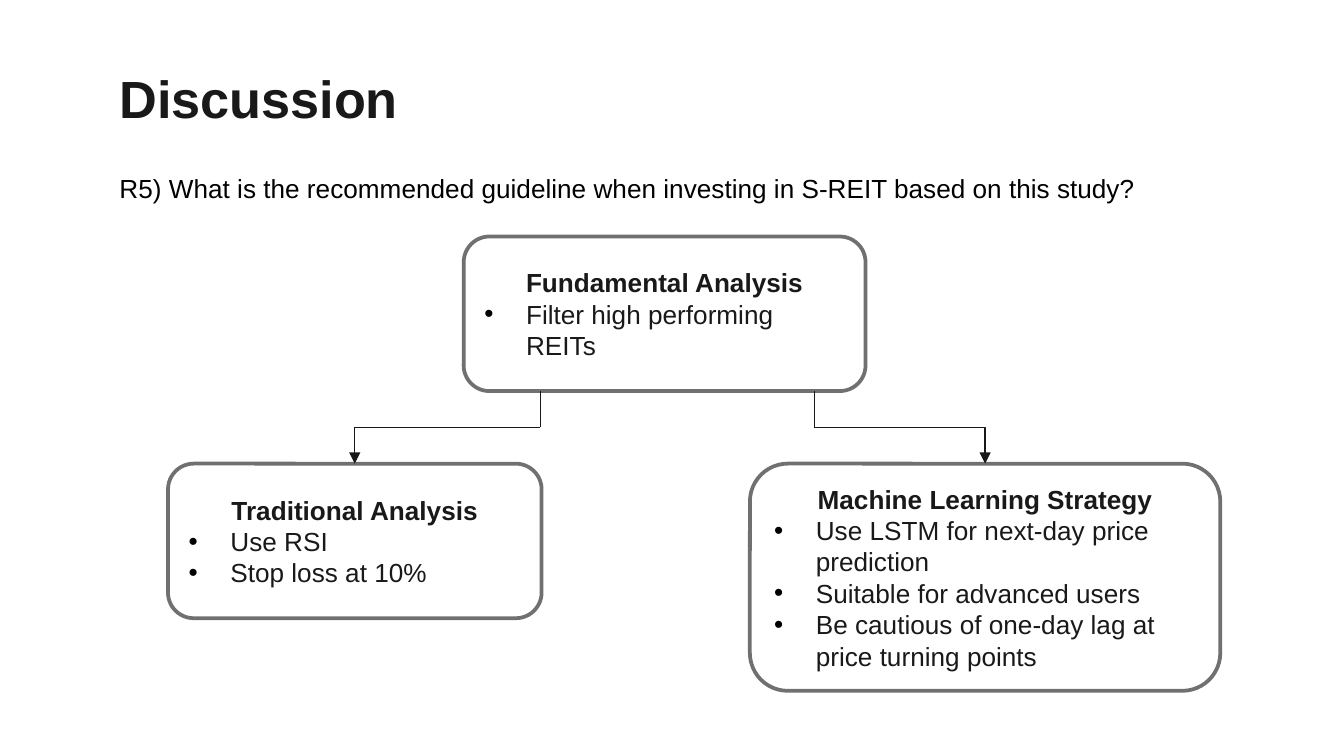
from lxml import etree
from pptx import Presentation
from pptx.dml.color import RGBColor
from pptx.enum.shapes import MSO_CONNECTOR, MSO_SHAPE
from pptx.enum.text import MSO_ANCHOR, PP_ALIGN
from pptx.oxml.ns import qn
from pptx.util import Inches, Pt

ROUND = MSO_SHAPE.ROUNDED_RECTANGLE
LINE, ELBOW = MSO_CONNECTOR.STRAIGHT, MSO_CONNECTOR.ELBOW
MIDDLE = MSO_ANCHOR.MIDDLE
LEFT, CENTER = PP_ALIGN.LEFT, PP_ALIGN.CENTER

FONT = "Arial"
COLORS = {"ink": "191919", "black": "000000", "white": "FFFFFF",
          "edge": "707070", "arrow": "181818"}

TITLE = "Discussion"
QUERY = ("R5) What is the recommended guideline when investing in S-REIT "
         "based on this study?")
ROOT = ((3.45, 1.76, 2.99, 1.15), "Fundamental Analysis",
        ["Filter high performing REITs"])
LEAVES = [
    (4.02, (1.25, 3.45, 2.78, 1.15), "Traditional Analysis",
     ["Use RSI", "Stop loss at 10%"]),
    (6.06, (5.58, 3.45, 3.5, 1.69), "Machine Learning Strategy",
     ["Use LSTM for next-day price prediction", "Suitable for advanced users",
      "Be cautious of one-day lag at price turning points"]),
]


def color(name):
    return RGBColor.from_string(COLORS[name])


def style(para, size, ink, bold=False):
    for run in para.runs:
        run.font.name = FONT
        run.font.size = Pt(size)
        run.font.bold = bold
        run.font.color.rgb = color(ink)


def add_text(slide, area, text, size, ink, bold=False):
    frame = slide.shapes.add_textbox(*map(Inches, area)).text_frame
    frame.word_wrap = True
    frame.text = text
    style(frame.paragraphs[0], size, ink, bold)
    return frame


def add_bullet(para):
    props = para._p.get_or_add_pPr()
    props.set("marL", str(Inches(0.31)))
    props.set("indent", str(-Inches(0.31)))
    tint = etree.SubElement(props, qn("a:buClr"))
    etree.SubElement(tint, qn("a:srgbClr"), val=COLORS["black"])
    etree.SubElement(props, qn("a:buFont"), typeface=FONT)
    etree.SubElement(props, qn("a:buChar"), char="•")


def add_card(slide, area, head, items):
    card = slide.shapes.add_shape(ROUND, *map(Inches, area))
    card.shadow.inherit = False
    card.fill.solid()
    card.fill.fore_color.rgb = color("white")
    card.line.color.rgb = color("edge")
    card.line.width = Pt(2)
    frame = card.text_frame
    frame.word_wrap = True
    frame.vertical_anchor = MIDDLE
    frame.text = "\n".join([head, *items])
    for i, para in enumerate(frame.paragraphs):
        para.alignment = LEFT if i else CENTER
        style(para, 14, "ink", bold=not i)
        if i:
            add_bullet(para)


def add_link(slide, kind, start, end):
    link = slide.shapes.add_connector(kind, *map(Inches, start + end))
    link.line.color.rgb = color("arrow")
    link.line.width = Pt(0.75)
    props = link._element.spPr
    if kind == ELBOW:
        props.find(qn("a:prstGeom")).set("prst", "bentConnector2")
        etree.SubElement(props.find(qn("a:ln")), qn("a:tailEnd"), type="triangle")
    etree.SubElement(props, qn("a:effectLst"))


deck = Presentation()
deck.slide_width = Inches(10)
deck.slide_height = deck.slide_width * 9 // 16
slide = deck.slides.add_slide(deck.slide_layouts[6])

title = add_text(slide, (0.79, 0.39, 8.42, 0.63), TITLE, 28, "ink", True)
title.margin_top = title.margin_bottom = Inches(0.1)
add_text(slide, (0.79, 1.23, 8.78, 0.81), QUERY, 14, "black")

add_card(slide, *ROOT)
base = ROOT[0][1] + ROOT[0][3]
for exit_x, area, head, items in LEAVES:
    add_card(slide, area, head, items)
    left, top, width, _ = area
    turn = (base + top) / 2
    add_link(slide, ELBOW, (exit_x, turn), (left + width / 2, top))
    add_link(slide, LINE, (exit_x, turn), (exit_x, base))

deck.save("out.pptx")
